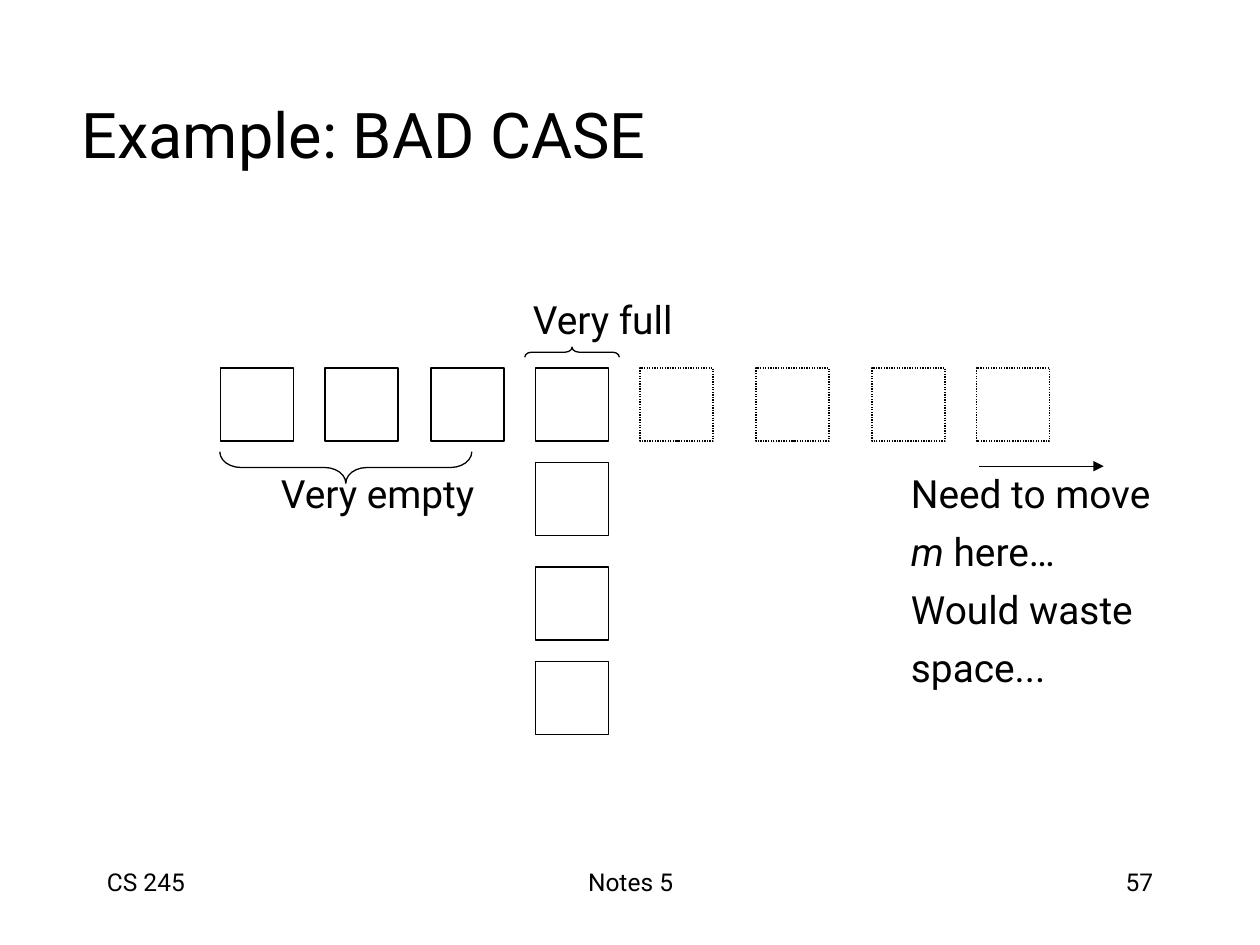
from dataclasses import dataclass

import pptx
import pptx.dml.color
import pptx.enum.dml
import pptx.enum.shapes
import pptx.enum.text
import pptx.oxml
import pptx.oxml.ns
import pptx.util
from pptx.util import Inches

BLACK = pptx.dml.color.RGBColor(0, 0, 0)
WHITE = pptx.dml.color.RGBColor(255, 255, 255)
FONT = "Roboto"
LINE_WIDTH = pptx.util.Pt(0.75)
BLOCK_SIZE = 0.58
ROW_TOP = 2.92
FULL_LEFT = 4.25

SHAPES = pptx.enum.shapes.MSO_SHAPE
ALIGN = pptx.enum.text.PP_ALIGN
ANCHOR = pptx.enum.text.MSO_ANCHOR


@dataclass(frozen=True)
class Block:
    left: float
    top: float
    dotted: bool = False


@dataclass(frozen=True)
class Brace:
    left: float
    top: float
    width: float
    height: float
    rotation: int


@dataclass(frozen=True)
class Label:
    lines: tuple[str, ...]  # a part between asterisks is italic
    left: float
    top: float
    width: float
    height: float
    size: float
    align: ALIGN = ALIGN.LEFT
    anchor: ANCHOR = ANCHOR.TOP
    inset: float = 0


def set_outline(line) -> None:
    line.color.rgb = BLACK
    line.width = LINE_WIDTH


def draw_block(slide, block: Block) -> None:
    square = slide.shapes.add_shape(
        SHAPES.RECTANGLE, Inches(block.left), Inches(block.top),
        Inches(BLOCK_SIZE), Inches(BLOCK_SIZE))
    square.shadow.inherit = False
    square.fill.solid()
    square.fill.fore_color.rgb = WHITE
    set_outline(square.line)
    if block.dotted:
        square.line.dash_style = pptx.enum.dml.MSO_LINE.ROUND_DOT


def draw_brace(slide, brace: Brace) -> None:
    curve = slide.shapes.add_shape(
        SHAPES.LEFT_BRACE, Inches(brace.left), Inches(brace.top),
        Inches(brace.width), Inches(brace.height))
    curve.adjustments[0] = 0.67
    curve.rotation = brace.rotation
    curve.shadow.inherit = False
    curve.fill.background()
    set_outline(curve.line)


def draw_label(slide, label: Label) -> None:
    box = slide.shapes.add_textbox(
        Inches(label.left), Inches(label.top),
        Inches(label.width), Inches(label.height))
    frame = box.text_frame
    frame.word_wrap = True
    frame.vertical_anchor = label.anchor
    frame.margin_left = frame.margin_right = Inches(label.inset)
    frame.margin_top = frame.margin_bottom = Inches(label.inset / 2)
    for number, line in enumerate(label.lines):
        paragraph = frame.add_paragraph() if number else frame.paragraphs[0]
        paragraph.alignment = label.align
        if number:
            paragraph.space_before = pptx.util.Pt(6.5)
        paragraph.font.name = FONT
        paragraph.font.size = pptx.util.Pt(label.size)
        paragraph.font.color.rgb = BLACK
        for part, words in enumerate(line.split("*")):
            if words:
                run = paragraph.add_run()
                run.text = words
                if part % 2:
                    run.font.italic = True


def draw_arrow(slide, left: float, right: float, top: float) -> None:
    arrow = slide.shapes.add_connector(
        pptx.enum.shapes.MSO_CONNECTOR.STRAIGHT,
        Inches(left), Inches(top), Inches(right), Inches(top))
    set_outline(arrow.line)
    head = pptx.oxml.parse_xml(
        f'<a:tailEnd {pptx.oxml.ns.nsdecls("a")} type="triangle"/>')
    arrow.line._get_or_add_ln().append(head)
    arrow._element.spPr.append(
        pptx.oxml.parse_xml(f'<a:effectLst {pptx.oxml.ns.nsdecls("a")}/>'))


BLOCKS = (
    # Buckets in use, then the overflow chain, then the buckets to be added
    [Block(left, ROW_TOP) for left in (1.75, 2.58, 3.42, FULL_LEFT)]
    + [Block(FULL_LEFT, top) for top in (3.67, 4.5, 5.25)]
    + [Block(left, ROW_TOP, dotted=True) for left in (5.08, 6, 6.92, 7.75)]
)

BRACES = [
    Brace(2.62, 2.71, 0.25, 2, 270),
    Brace(4.5, 2.42, 0.08, 0.75, 90),
]

LABELS = [
    # Title
    Label(("Example: BAD CASE",), 0.55, 0.43, 8.5, 1.25, 36,
          anchor=ANCHOR.MIDDLE, inset=0.1),
    # Diagram labels
    Label(("Very full",), 4.23, 2.35, 1.5, 0.4, 22.2),
    Label(("Very empty",), 2.23, 3.73, 1.9, 0.4, 22.2),
    Label(("Need to move", "*m* here…", "Would waste", "space..."),
          7.23, 3.73, 2.2, 1.8, 22.2),
    # Footer
    Label(("CS 245",), 0.75, 6.83, 2.08, 0.5, 14, inset=0.1),
    Label(("Notes 5",), 3.42, 6.83, 3.17, 0.5, 14, ALIGN.CENTER, inset=0.1),
    Label(("57",), 7.17, 6.83, 2.08, 0.5, 14, ALIGN.RIGHT, inset=0.1),
]


def main() -> None:
    deck = pptx.Presentation()
    deck.slide_width = Inches(10)
    deck.slide_height = Inches(7.5)
    slide = deck.slides.add_slide(deck.slide_layouts[6])

    for label in LABELS:
        draw_label(slide, label)
    for block in BLOCKS:
        draw_block(slide, block)
    for brace in BRACES:
        draw_brace(slide, brace)
    draw_arrow(slide, 7.77, 8.76, 3.7)

    deck.save("out.pptx")


if __name__ == "__main__":
    main()
